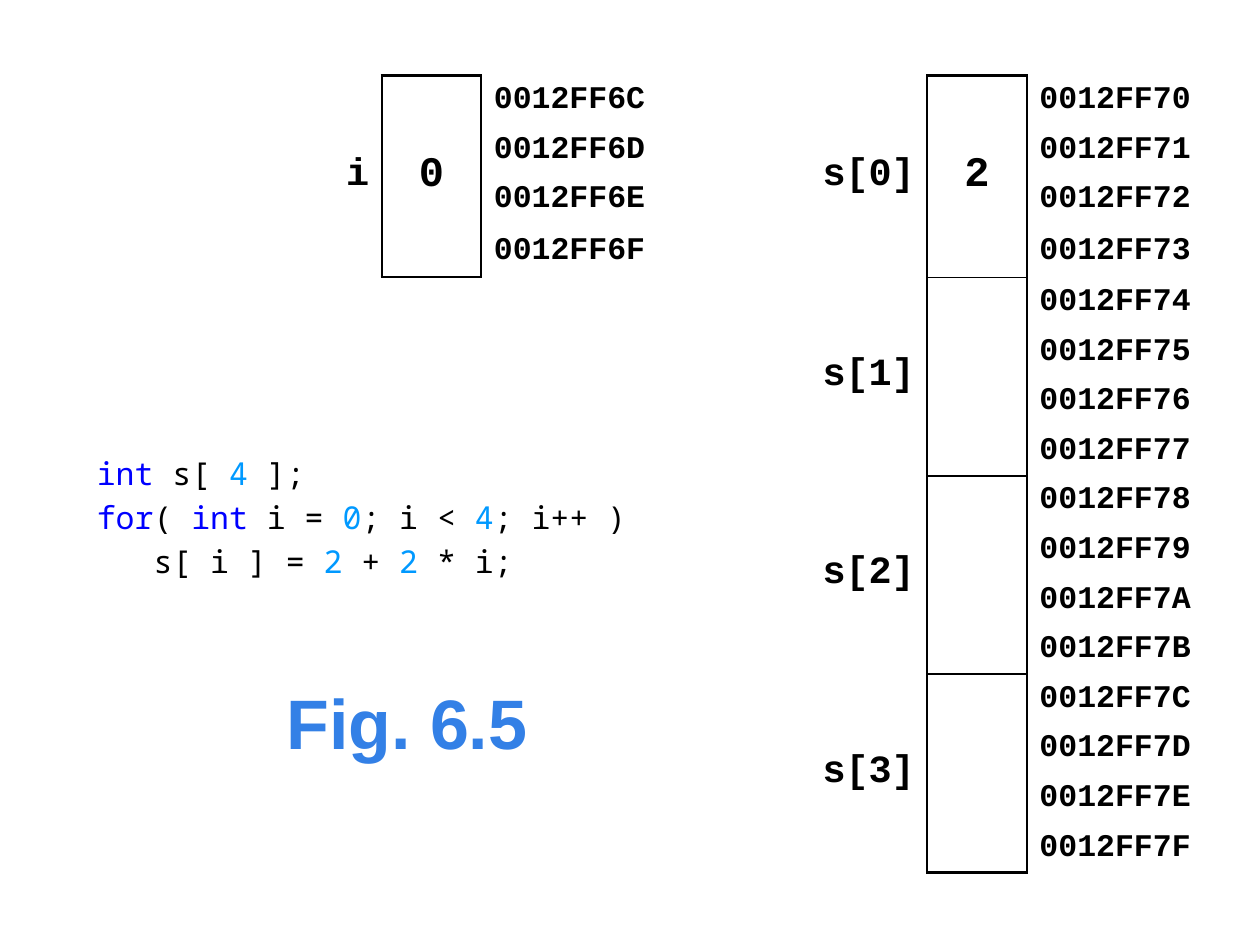
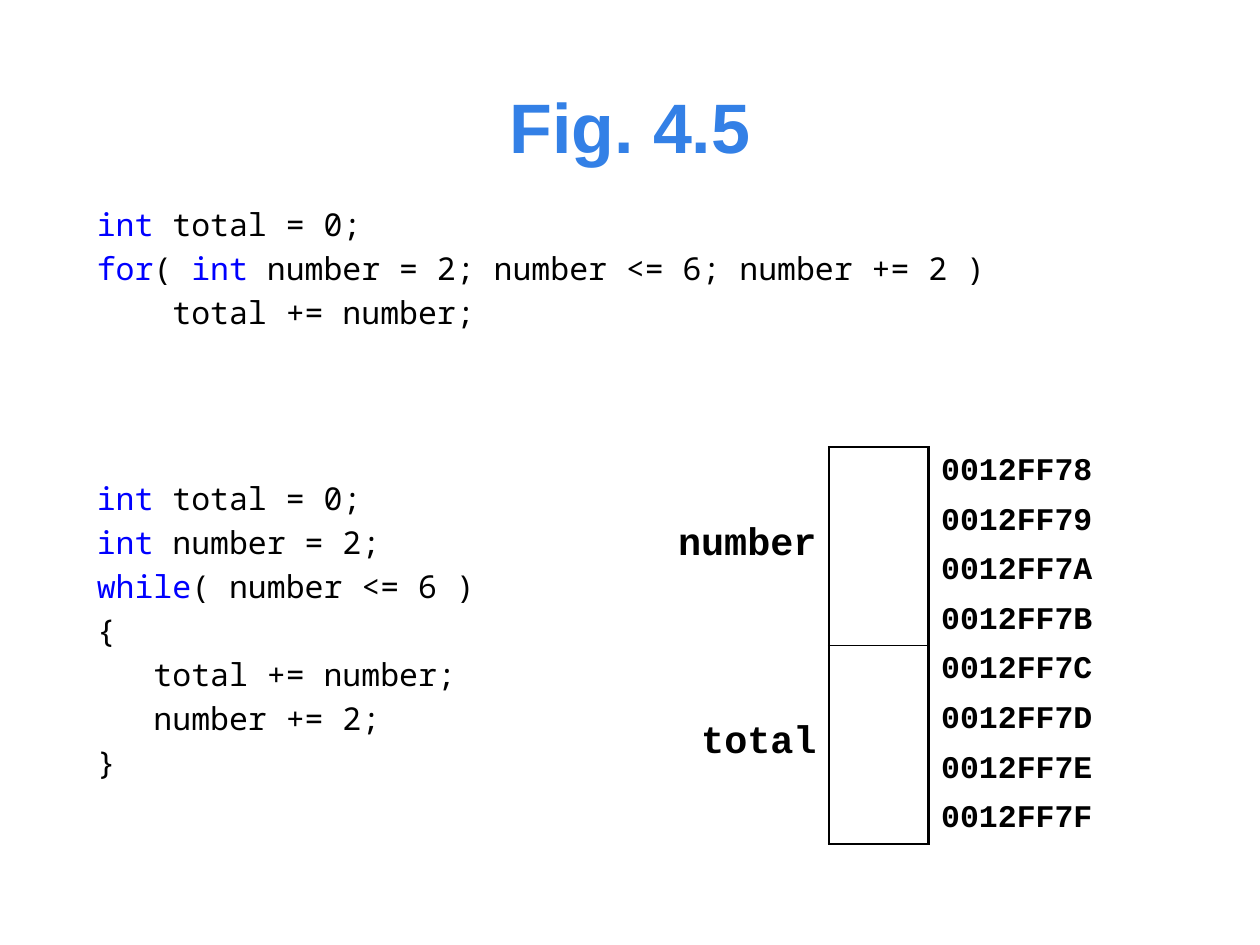
from lxml import etree
from pptx import Presentation
from pptx.dml.color import RGBColor
from pptx.enum.text import MSO_ANCHOR, PP_ALIGN
from pptx.oxml.ns import qn
from pptx.util import Inches, Pt

LEFT, CENTER, RIGHT = PP_ALIGN.LEFT, PP_ALIGN.CENTER, PP_ALIGN.RIGHT
TOP, MIDDLE = MSO_ANCHOR.TOP, MSO_ANCHOR.MIDDLE

COLORS = {"title": "3380E6", "key": "0000FF", "digit": "0099FF", "ink": "000000"}
KEYS = {"int", "for", "while"}
SANS, MONO, CODE = "Arial", "Courier New", "Noto Sans Mono"
NO_GRID = "{2D5ABB26-0587-4C30-8999-92F81FD0307C}"
BYTES = 4  # table rows per variable
ROW = Inches(6.3) // 16
THICK, THIN = 1.5, 1


def tint(part):
    """Colour name of one piece of code."""
    if part in KEYS:
        return "key"
    return "digit" if part.isdigit() else "ink"


def write(frame, lines, size, font, bold=False, align=LEFT, anchor=TOP, color=None):
    """Fill a frame; a bar in a line parts differently coloured pieces."""
    frame.word_wrap = True
    frame.vertical_anchor = anchor
    for n, line in enumerate(lines):
        para = frame.paragraphs[0] if n == 0 else frame.add_paragraph()
        para.alignment = align
        para.space_before = Pt(0.2 * size if n else 0)
        para.font.size = Pt(size)
        for part in line.split("|"):
            run = para.add_run()
            run.text = part
            run.font.size, run.font.name, run.font.bold = Pt(size), font, bold
            run.font.color.rgb = RGBColor.from_string(COLORS[color or tint(part)])


def place(shape, box):
    shape.left, shape.top, shape.width, shape.height = map(Inches, box)


def add_title(slide, text, box):
    title = slide.shapes.title
    place(title, box)
    write(title.text_frame, [text], 40, SANS, bold=True, align=CENTER,
          anchor=MIDDLE, color="title")


def add_code(slide, lines, box):
    area = slide.shapes.add_textbox(*map(Inches, box))
    write(area.text_frame, lines, 18, CODE)


def edge(cell, widths):
    """Draw borders, given as side: points in L, R, T, B order."""
    props = cell._tc.get_or_add_tcPr()
    for n, (side, width) in enumerate(widths.items()):
        line = etree.Element(qn("a:ln" + side), w=str(Pt(width)))
        fill = etree.SubElement(line, qn("a:solidFill"))
        etree.SubElement(fill, qn("a:srgbClr"), val=COLORS["ink"])
        props.insert(n, line)


def fill_cell(cell, text, size, align, pad):
    cell.margin_left = cell.margin_right = Inches(0.1)
    cell.margin_top, cell.margin_bottom = map(Inches, pad)
    cell.fill.background()
    write(cell.text_frame, [text] if text else [""], size, MONO, bold=True,
          align=align, color="ink")
    cell.vertical_anchor = MIDDLE


def add_memory(slide, left, top, label_w, start, items):
    """Memory map: items are (label, value) pairs, four bytes each."""
    count = BYTES * len(items)
    cols = (label_w, 0.79, 1.57)
    frame = slide.shapes.add_table(count, len(cols), Inches(left), Inches(top),
                                   Inches(sum(cols)), ROW * count)
    table = frame.table
    table.first_row = table.horz_banding = False
    table._tbl.tblPr.find(qn("a:tableStyleId")).text = NO_GRID
    for col, width in zip(table.columns, cols):
        col.width = Inches(width)
    for n in range(count):
        table.rows[n].height = ROW
        label, value = items[n // BYTES] if n % BYTES == 0 else ("", "")
        fill_cell(table.cell(n, 0), label, 22 if label else 12, RIGHT, (0, 0.02))
        fill_cell(table.cell(n, 1), value, 24 if value else 12, CENTER, (0, 0.02))
        fill_cell(table.cell(n, 2), f"{start + n:08X}", 18, LEFT, (0.04, 0.04))

    # Join the four bytes of each variable and frame its value
    for first in range(0, count, BYTES):
        last = first + BYTES - 1
        above = THIN if first else THICK
        below = THIN if last < count - 1 else THICK
        for n in range(first, last + 1):
            sides = {"L": THICK, "R": THICK}
            if n == first:
                sides["T"] = above
            if n in (first, last):
                sides["B"] = below
            edge(table.cell(n, 1), sides)
        for col in (0, 1):
            table.cell(first, col).merge(table.cell(last, col))


def array_slide(slide):
    add_title(slide, "Fig. 6.5", (1.26, 5.33, 3.94, 0.79))
    add_code(slide, ["int| s[ |4| ];",
                     "for|( |int| i = |0|; i < |4|; i++ )",
                     "   s[ i ] = |2| + |2| * i;"], (0.67, 3.55, 5.12, 1.38))
    cells = [(f"s[{n}]", "" if n else "2") for n in range(4)]
    add_memory(slide, 6.38, 0.6, 0.98, 0x12FF70, cells)
    add_memory(slide, 2.64, 0.6, 0.39, 0x12FF6C, [("i", "0")])


def loop_slide(slide):
    add_title(slide, "Fig. 4.5", (3.23, 0.6, 3.54, 0.79))
    add_code(slide, ["int| total = 0;",
                     "for|( |int| number = 2; number <= 6; number += 2 )",
                     "    total += number;"], (0.67, 1.58, 8.66, 1.38))
    add_memory(slide, 5.2, 3.55, 1.38, 0x12FF78, [("number", ""), ("total", "")])
    add_code(slide, ["int| total = 0;", "int| number = 2;", "while|( number <= 6 )",
                     "{", "   total += number;", "   number += 2;", "}"],
             (0.67, 3.75, 3.74, 2.95))


def main():
    deck = Presentation()
    deck.slide_width, deck.slide_height = Inches(10), Inches(7.5)
    for build in (array_slide, loop_slide):
        build(deck.slides.add_slide(deck.slide_layouts[5]))
    deck.save("out.pptx")


if __name__ == "__main__":
    main()
